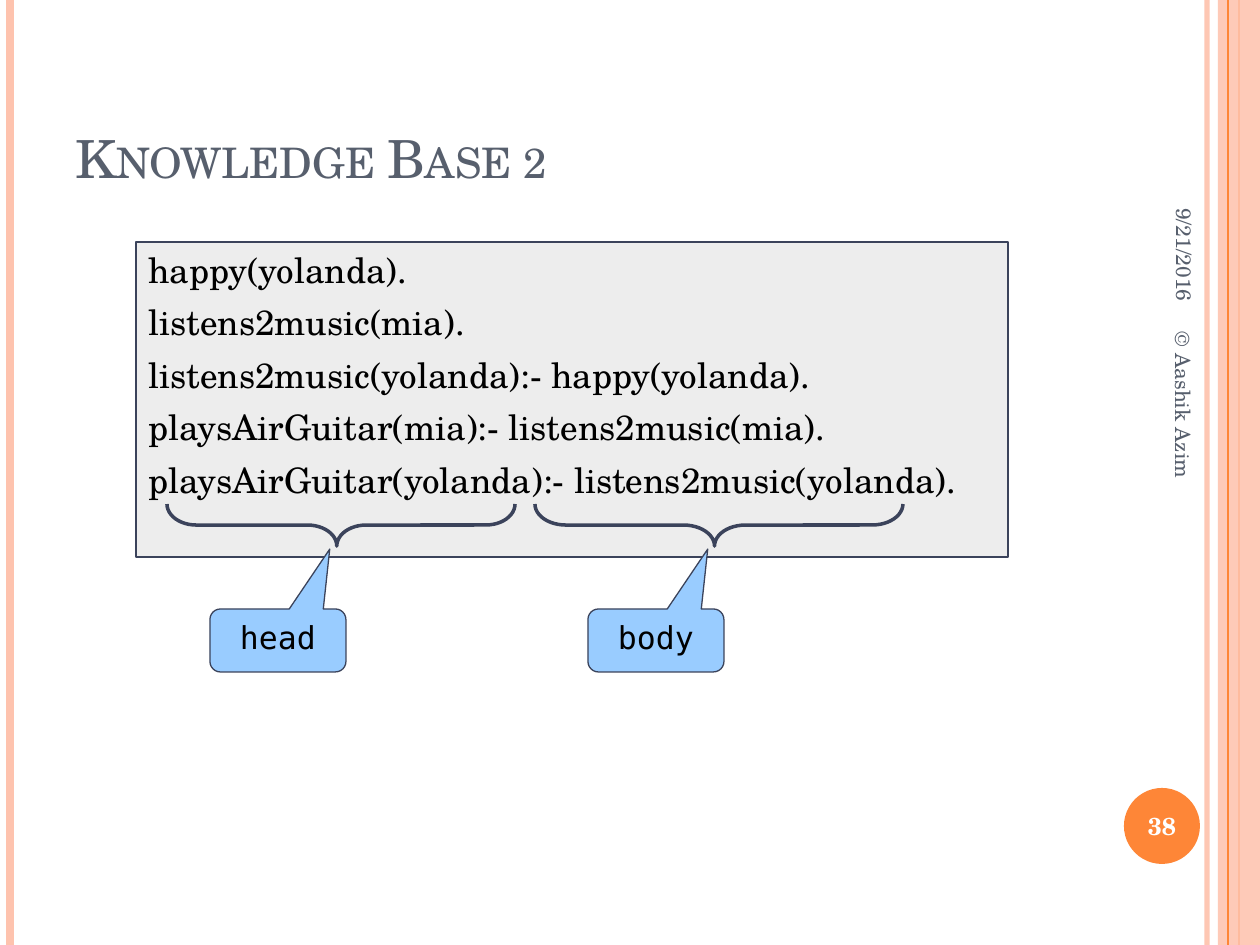
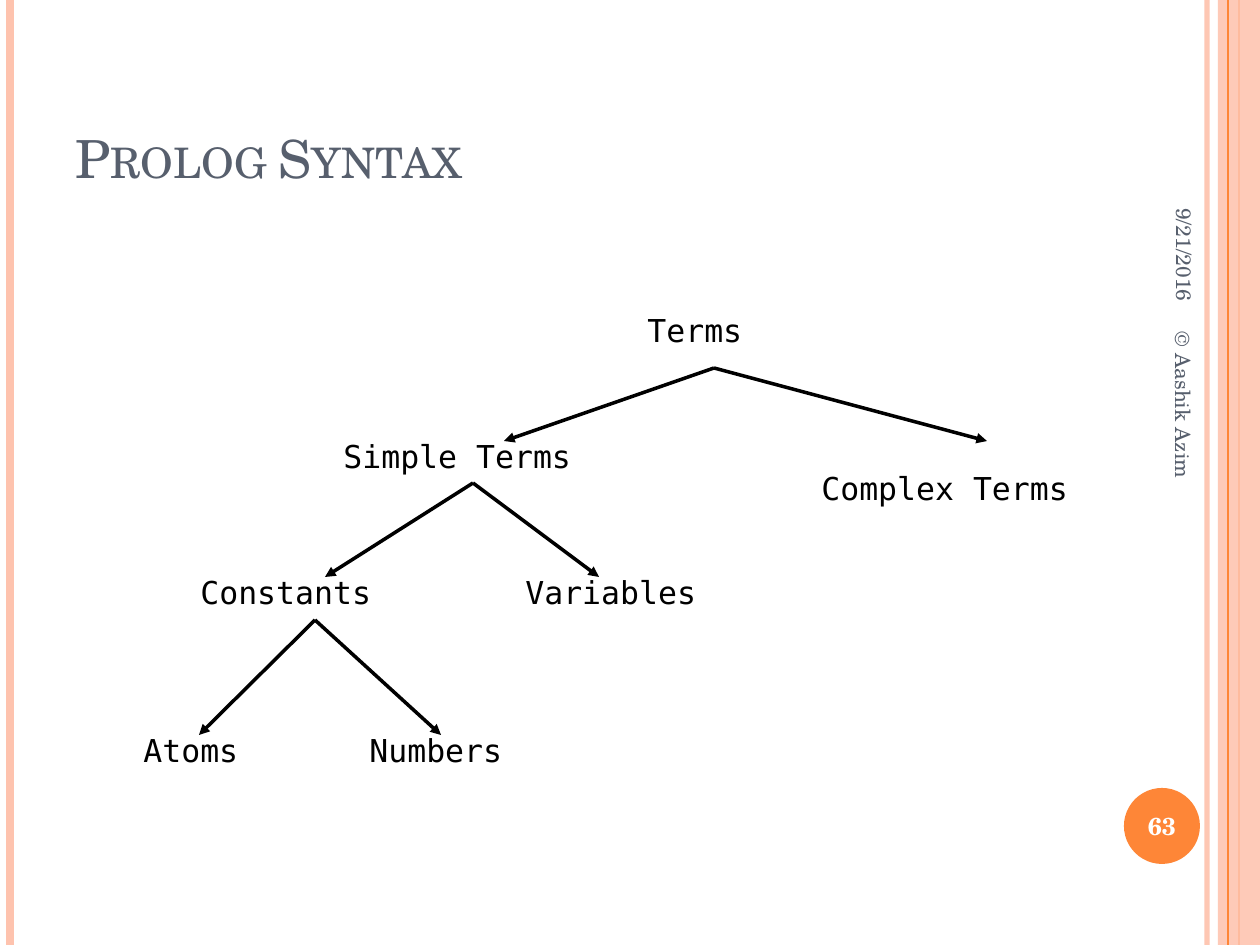
from pptx import Presentation
from pptx.dml.color import RGBColor
from pptx.enum.shapes import MSO_CONNECTOR, MSO_SHAPE
from pptx.enum.text import MSO_ANCHOR, PP_ALIGN
from pptx.oxml.ns import qn
from pptx.util import Pt
from lxml import etree

EMU_PER_PX = 914400 / 126
SLIDE_WIDTH, SLIDE_HEIGHT = 1260, 945

STRAIGHT = MSO_CONNECTOR.STRAIGHT
RECTANGLE, OVAL = MSO_SHAPE.RECTANGLE, MSO_SHAPE.OVAL
CALLOUT = MSO_SHAPE.ROUNDED_RECTANGULAR_CALLOUT
LEFT_BRACE = MSO_SHAPE.LEFT_BRACE
TOP, MIDDLE, BOTTOM = MSO_ANCHOR.TOP, MSO_ANCHOR.MIDDLE, MSO_ANCHOR.BOTTOM
LEFT, CENTER, RIGHT = PP_ALIGN.LEFT, PP_ALIGN.CENTER, PP_ALIGN.RIGHT

SERIF, MONO = "TeX Gyre Schola", "DejaVu Sans Mono"
PEACH, ORANGE, SLATE, NAVY = "FEC3AE", "FE8637", "575F6D", "3B435B"
GREY, SKY, BLACK, WHITE = "DDDDDD", "99CCFF", "000000", "FFFFFF"


def px(length):
    return round(length * EMU_PER_PX)


def color(hex_string):
    return RGBColor.from_string(hex_string)


def set_opacity(shape, percent):
    """Apply opacity to the first colour of a shape: its fill, or a connector's line."""
    first_color = next(shape._element.spPr.iter(qn("a:srgbClr")))
    etree.SubElement(first_color, qn("a:alpha")).set("val", str(percent * 1000))


def write(shape, lines, size, font=SERIF, text_color=BLACK, align=LEFT,
          anchor=TOP, bold=False, space_before=0):
    frame = shape.text_frame
    frame.word_wrap = True
    frame.vertical_anchor = anchor
    for index, line in enumerate(lines):
        paragraph = frame.add_paragraph() if index else frame.paragraphs[0]
        paragraph.add_run().text = line
        paragraph.alignment = align
        paragraph.space_before = Pt(space_before if index else 0)
        paragraph.font.name = font
        paragraph.font.size = Pt(size)
        paragraph.font.bold = bold
        paragraph.font.color.rgb = color(text_color)


def add_text(slide, box, text, size, **style):
    text_box = slide.shapes.add_textbox(*map(px, box))
    write(text_box, [text], size, **style)
    return text_box


def add_shape(slide, kind, box, fill=None, line=None, line_width=0.75):
    shape = slide.shapes.add_shape(kind, *map(px, box))
    shape.shadow.inherit = False
    if fill:
        shape.fill.solid()
        shape.fill.fore_color.rgb = color(fill)
    else:
        shape.fill.background()
    if line:
        shape.line.color.rgb = color(line)
        shape.line.width = Pt(line_width)
    else:
        shape.line.fill.background()
    return shape


def add_line(slide, start, end, line_color, width, arrow=False):
    connector = slide.shapes.add_connector(STRAIGHT, *map(px, (*start, *end)))
    connector.line.color.rgb = color(line_color)
    connector.line.width = Pt(width)
    if arrow:
        line_element = connector.line._get_or_add_ln()
        etree.SubElement(line_element, qn("a:tailEnd")).set("type", "triangle")
    etree.SubElement(connector._element.spPr, qn("a:effectLst"))
    return connector


# Parts shared by all slides
def add_stripe(slide, x, stripe_color, width):
    return add_line(slide, (x, 0), (x, SLIDE_HEIGHT), stripe_color, width)


def add_bands(slide):
    set_opacity(add_stripe(slide, 1207, PEACH, 3), 93)
    add_stripe(slide, 10, PEACH, 4.5)
    add_stripe(slide, 1239, ORANGE, 1.5)
    band = add_shape(slide, RECTANGLE, (1218, 0, 42, SLIDE_HEIGHT), PEACH)
    set_opacity(band, 87)
    add_stripe(slide, 1228, ORANGE, 0.75)


def add_title(slide, text):
    title = add_text(slide, (63, 38, 1029, 157), text, 30,
                     text_color=SLATE, anchor=BOTTOM)
    run = title.text_frame.paragraphs[0].runs[0]
    run._r.get_or_add_rPr().set("cap", "small")


def add_footers(slide, number):
    for box, text, align in (
        ((1046, 149, 277, 53), "9/21/2016", RIGHT),
        ((963, 515, 441, 50), "© Aashik Azim", LEFT),
    ):
        footer = add_text(slide, box, text, 12, text_color=SLATE,
                          align=align, anchor=MIDDLE)
        footer.rotation = 90
    add_shape(slide, OVAL, (1124, 788, 76, 76), ORANGE)
    add_text(slide, (1120, 790, 84, 72), str(number), 14, text_color=WHITE,
             align=CENTER, anchor=MIDDLE, bold=True)


def add_slide(presentation, title, number):
    slide = presentation.slides.add_slide(presentation.slide_layouts[6])
    add_bands(slide)
    add_title(slide, title)
    add_footers(slide, number)
    return slide


# Knowledge base: clauses with the parts of the last rule marked
def add_brace(slide, left, top, width, height):
    """Draw a downward brace in the given box by turning a left brace."""
    shift = (width - height) // 2
    brace = add_shape(slide, LEFT_BRACE,
                      (left + shift, top - shift, height, width),
                      line=NAVY, line_width=2)
    brace.rotation = 270
    brace.adjustments[0] = 0.24 * width / 120
    brace.adjustments[1] = 0.488


def add_callout(slide, box, text):
    callout = add_shape(slide, CALLOUT, box, SKY, NAVY)
    for index, value in enumerate((0.381, -1.451, 0.167)):
        callout.adjustments[index] = value
    write(callout, [text], 18, font=MONO, align=CENTER)


def add_knowledge_base(slide, left, top, width, height):
    clauses = add_shape(slide, RECTANGLE, (left, top, width, height), GREY, NAVY)
    set_opacity(clauses, 50)
    write(clauses, [
        "happy(yolanda).",
        "listens2music(mia).",
        "listens2music(yolanda):- happy(yolanda).",
        "playsAirGuitar(mia):- listens2music(mia).",
        "playsAirGuitar(yolanda):- listens2music(yolanda).",
    ], 20, space_before=6)
    for text, callout_x, brace_x, brace_width in (
        ("head", 74, 31, 348),
        ("body", 452, 399, 368),
    ):
        add_callout(slide, (left + callout_x, top + 367, 136, 63), text)
        add_brace(slide, left + brace_x, top + 262, brace_width, 42)


# Syntax tree: labels and the arrows that branch between them
def add_syntax_tree(slide, left, top):
    for text, x, y in (
        ("Terms", 504, 0),
        ("Simple Terms", 200, 126),
        ("Complex Terms", 678, 158),
        ("Constants", 57, 262),
        ("Variables", 382, 262),
        ("Atoms", 0, 420),
        ("Numbers", 226, 420),
    ):
        label_width = 27 + 25 * len(text)
        add_text(slide, (left + x, top + y, label_width, 63), text, 18, font=MONO)

    # Each fork: start point, height of the tips, x of the two tips
    for x, y, tip_y, tips in (
        (583, 63, 136, (373, 856)),
        (342, 178, 272, (194, 468)),
        (184, 315, 430, (68, 310)),
    ):
        for tip_x in tips:
            add_line(slide, (left + x, top + y), (left + tip_x, top + tip_y),
                     BLACK, 2, arrow=True)


def main():
    presentation = Presentation()
    presentation.slide_width = px(SLIDE_WIDTH)
    presentation.slide_height = px(SLIDE_HEIGHT)

    slide = add_slide(presentation, "Knowledge Base 2", 38)
    add_knowledge_base(slide, 136, 242, 872, 315)

    slide = add_slide(presentation, "Prolog Syntax", 63)
    add_syntax_tree(slide, 131, 305)

    presentation.save("out.pptx")


if __name__ == "__main__":
    main()
